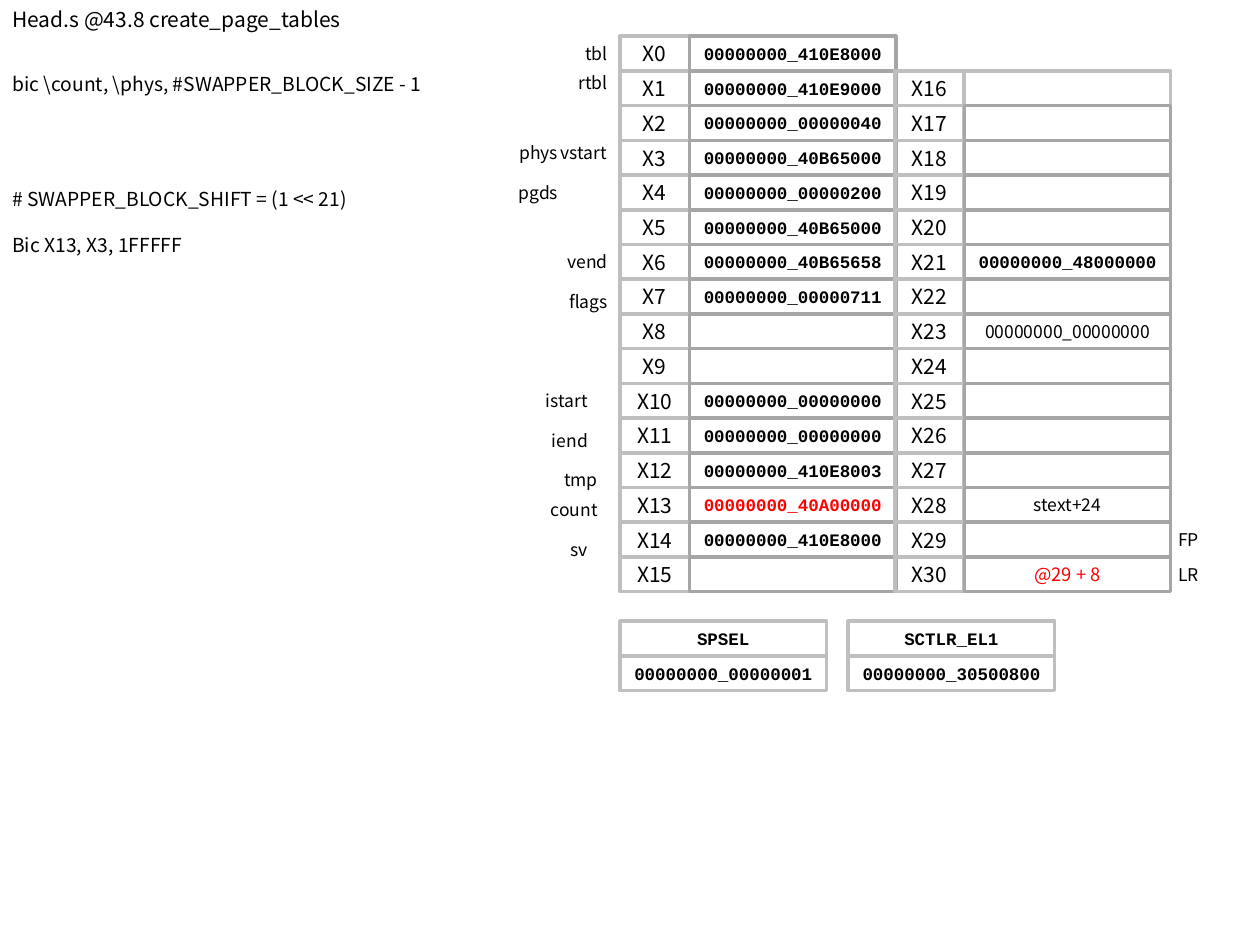
from pptx import Presentation
from pptx.dml.color import RGBColor
from pptx.enum.shapes import MSO_SHAPE
from pptx.enum.text import MSO_ANCHOR, PP_ALIGN
from pptx.util import Cm, Pt

RECTANGLE = MSO_SHAPE.RECTANGLE
TOP, MIDDLE = MSO_ANCHOR.TOP, MSO_ANCHOR.MIDDLE
LEFT, CENTER, RIGHT = PP_ALIGN.LEFT, PP_ALIGN.CENTER, PP_ALIGN.RIGHT

SANS, MONO = "Noto Sans CJK KR", "Courier New"
BLACK, RED = "000000", "FF0000"
LIGHT, DARK = "BFBFBF", "A6A6A6"

# Lengths in centimetres
GRID_LEFT, GRID_TOP = 12.5, 0.73
ROW, NAME_WIDTH, VALUE_WIDTH = 0.7, 1.4, 4.16
BANK_WIDTH = NAME_WIDTH + VALUE_WIDTH - 0.02

# Values of registers X0 to X30 that hold one
VALUES = {
    0: "00000000_410E8000", 1: "00000000_410E9000", 2: "00000000_00000040",
    3: "00000000_40B65000", 4: "00000000_00000200", 5: "00000000_40B65000",
    6: "00000000_40B65658", 7: "00000000_00000711", 10: "00000000_00000000",
    11: "00000000_00000000", 12: "00000000_410E8003", 13: "00000000_40A00000",
    14: "00000000_410E8000", 21: "00000000_48000000", 23: "00000000_00000000",
    28: "stext+24", 30: "@29 + 8",
}
PLAIN = dict(size=10, font=SANS, bold=False)
STYLES = {
    13: dict(color=RED),
    23: PLAIN,
    28: PLAIN,
    30: dict(PLAIN, size=10.5, color=RED),
}

# Argument name, left, top, width
ARGUMENTS = [
    ("tbl", 11.1, 0.73, 1.4), ("rtbl", 11.1, 1.32, 1.4),
    ("vstart", 10.7, 2.72, 1.78), ("vend", 11.1, 4.92, 1.4),
    ("flags", 11.1, 5.72, 1.4), ("phys", 10.1, 2.72, 1.4),
    ("pgds", 10.1, 3.53, 1.4), ("istart", 10.7, 7.73, 1.4),
    ("iend", 10.1, 8.53, 2), ("tmp", 10.1, 9.32, 2.2),
    ("count", 10.1, 9.93, 2.2), ("sv", 10.1, 10.72, 2),
]

SYSTEM_REGISTERS = [
    ("SPSEL", "00000000_00000001", 12.5),
    ("SCTLR_EL1", "00000000_30500800", 17.1),
]

# Line of code and the space before it in points
CODE = [
    ("bic \\count, \\phys, #SWAPPER_BLOCK_SIZE - 1", 0),
    ("# SWAPPER_BLOCK_SHIFT = (1 << 21)", 52.5),
    ("Bic X13, X3, 1FFFFF", 13.1),
]


def rgb(value):
    """Turn a hex string into a colour."""
    return RGBColor.from_string(value)


def style(para, size, font=SANS, color=BLACK, bold=False, align=LEFT):
    """Set the font and alignment of a paragraph."""
    para.alignment = align
    para.font.size = Pt(size)
    para.font.name = font
    para.font.bold = bold
    para.font.color.rgb = rgb(color)


def add_label(shapes, left, top, width, height, text, size, align=LEFT, anchor=MIDDLE):
    """Add a text box with one paragraph and return it."""
    box = shapes.add_textbox(Cm(left), Cm(top), Cm(width), Cm(height))
    frame = box.text_frame
    frame.word_wrap = True
    frame.vertical_anchor = anchor
    frame.text = text
    style(frame.paragraphs[0], size, align=align)
    return box


def add_cell(shapes, left, top, width, line, text, size, **look):
    """Add an outlined cell with centred text and return it."""
    cell = shapes.add_shape(RECTANGLE, Cm(left), Cm(top), Cm(width), Cm(ROW))
    cell.shadow.inherit = False
    cell.fill.background()
    cell.line.color.rgb = rgb(line)
    cell.line.width = Pt(2)
    frame = cell.text_frame
    frame.word_wrap = True
    frame.vertical_anchor = MIDDLE
    if text:
        frame.text = text
        style(frame.paragraphs[0], size, align=CENTER, **look)
    return cell


def add_value(shapes, left, top, line, text, **changes):
    """Add a wide cell with a register value."""
    look = dict(size=10, font=MONO, bold=True) | changes
    cell = add_cell(shapes, left, top, VALUE_WIDTH, line, text, **look)
    cell.text_frame.margin_left = cell.text_frame.margin_right = Cm(0.1)


def add_general_registers(page):
    """Add registers X0 to X30 in two banks, the second one row lower."""
    shapes = page.shapes.add_group_shape().shapes
    for number in range(31):
        bank = number // 16
        left = GRID_LEFT + bank * BANK_WIDTH
        top = GRID_TOP + (number - 15 * bank) * ROW
        add_cell(shapes, left, top, NAME_WIDTH, LIGHT, f"X{number}", 12)
        add_value(shapes, left + NAME_WIDTH, top, LIGHT if number == 16 else DARK,
                  VALUES.get(number, ""), **STYLES.get(number, {}))
    for row, role in ((14, "FP"), (15, "LR")):
        add_label(shapes, 23.5, GRID_TOP + row * ROW, NAME_WIDTH, ROW, role, 10)


def add_system_register(page, name, value, left):
    """Add a register name above its value."""
    shapes = page.shapes.add_group_shape().shapes
    for row, text in enumerate((name, value)):
        add_value(shapes, left, 12.52 + row * ROW, LIGHT, text)


def add_code(page):
    """Add the lines of code on the left."""
    box = add_label(page.shapes, 0, 1.33, 10.6, 10.6, "", 11, anchor=TOP)
    frame = box.text_frame
    for index, (text, space) in enumerate(CODE):
        para = frame.add_paragraph() if index else frame.paragraphs[0]
        para.text = text
        para.space_before = Pt(space)
        style(para, 11)


def main():
    """Build the slide and save it."""
    deck = Presentation()
    deck.slide_width, deck.slide_height = Cm(25.4), Cm(19.05)
    page = deck.slides.add_slide(deck.slide_layouts[6])
    add_label(page.shapes, 0, 0, 10.5, 0.77, "Head.s @43.8 create_page_tables", 12, anchor=TOP)
    for name, value, left in SYSTEM_REGISTERS:
        add_system_register(page, name, value, left)
    add_general_registers(page)
    add_code(page)
    for name, left, top, width in ARGUMENTS:
        add_label(page.shapes, left, top, width, ROW, name, 10, RIGHT)
    deck.save("out.pptx")


main()
